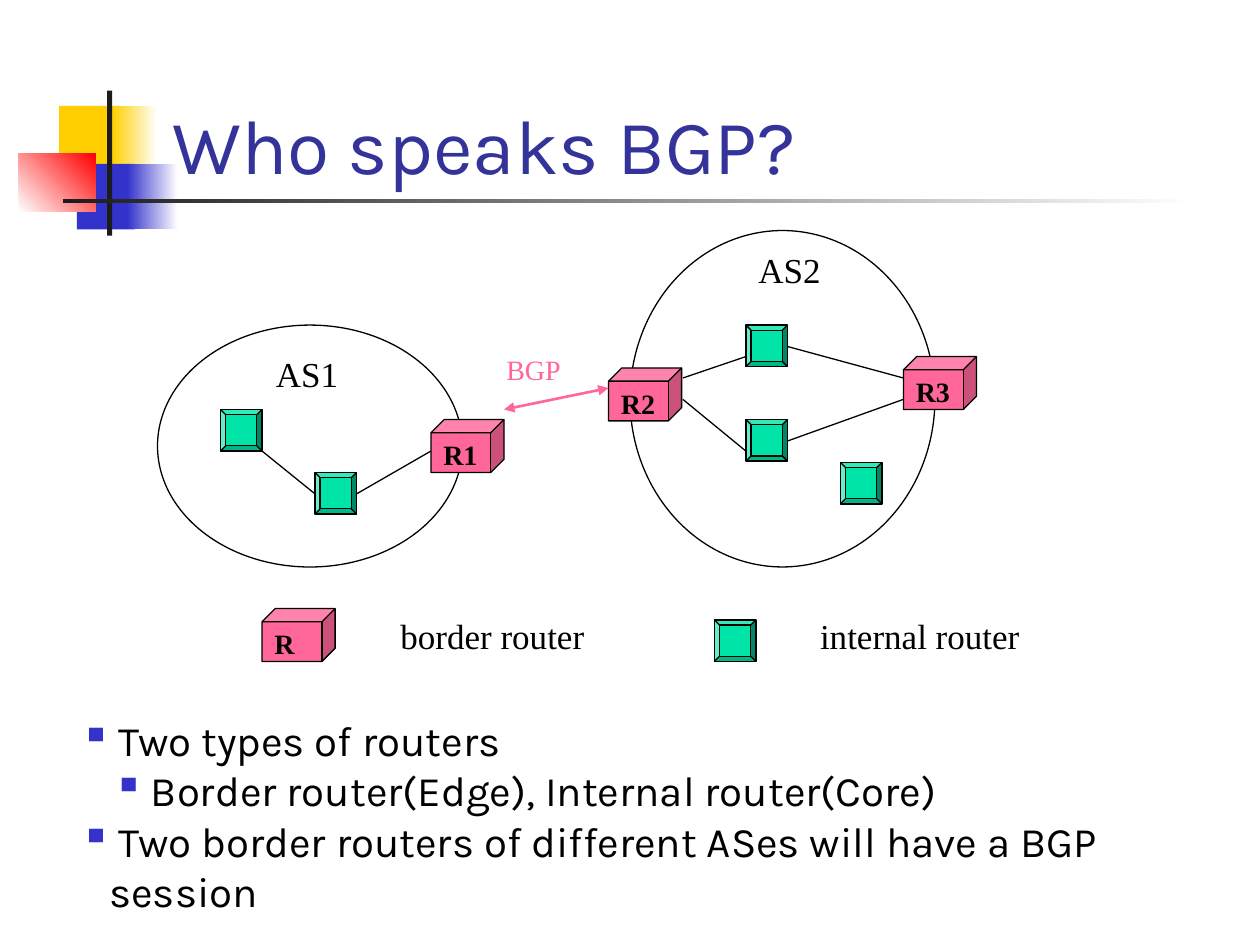
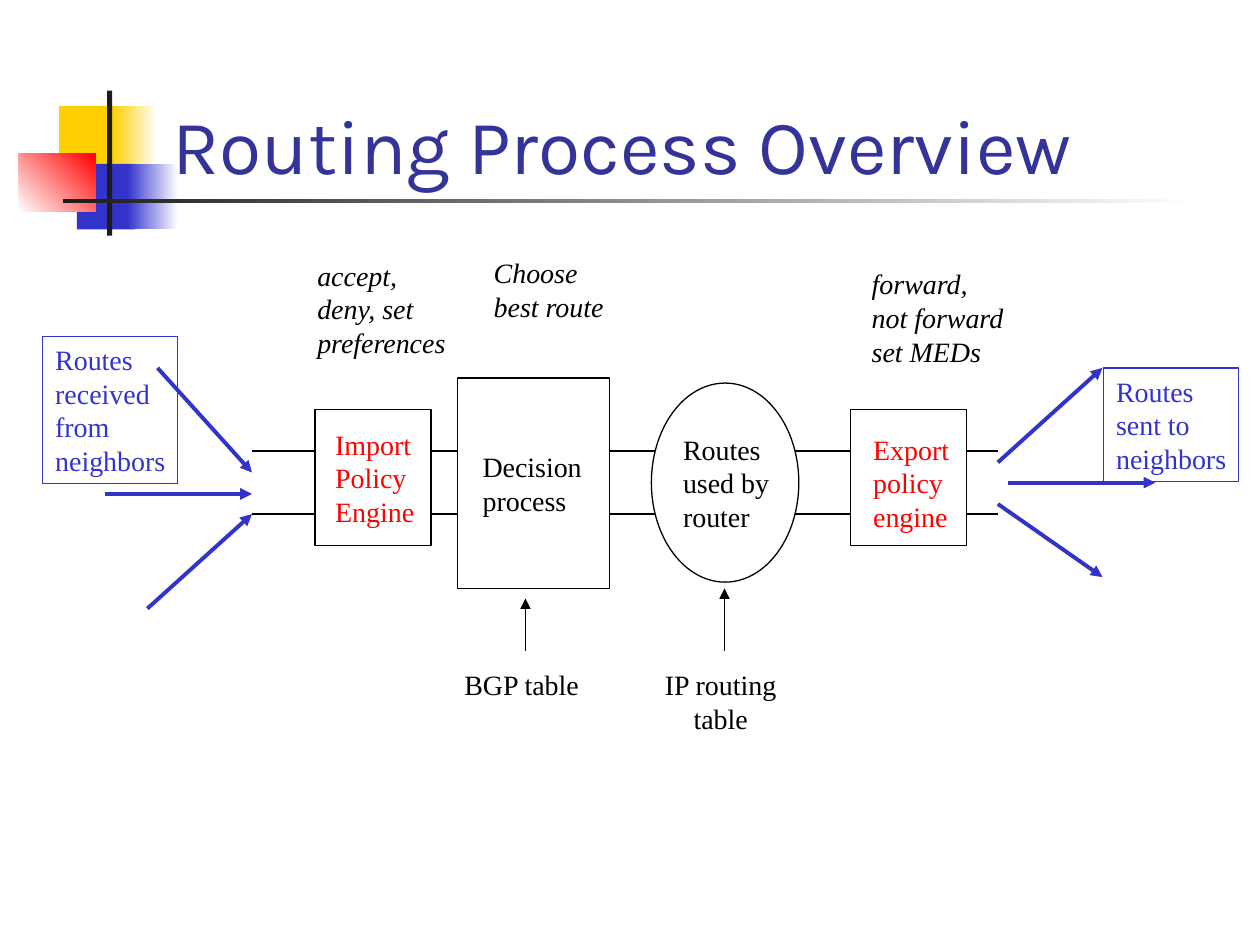
from pptx import Presentation
from pptx.dml.color import RGBColor
from pptx.enum.shapes import MSO_CONNECTOR, MSO_SHAPE
from pptx.enum.text import MSO_ANCHOR, PP_ALIGN
from pptx.oxml.ns import qn
from pptx.util import Inches, Pt
from lxml.etree import SubElement

COLORS = {
    "white": "FFFFFF", "black": "000000", "ink": "1C1C1C", "title": "333399",
    "yellow": "FFCF01", "blue": "3333CC", "red": "FF0000",
    "pink": "FF6699", "green": "00E4A8",
}
HEADING_FONT = "Karla"
DIAGRAM_FONT = "Times New Roman"
ROUTER_SIZE = 0.33


def rgb(name):
    return RGBColor.from_string(COLORS[name])


def add_box(page, kind, place, fill=None, line=None):
    box = page.shapes.add_shape(kind, *[Inches(value) for value in place])
    box.shadow.inherit = False
    if fill:
        box.fill.solid()
        box.fill.fore_color.rgb = rgb(fill)
    else:
        box.fill.background()
    if line:
        box.line.color.rgb = rgb(line)
        box.line.width = Pt(0.75)
    else:
        box.line.fill.background()
    return box


def add_gradient(page, place, start, end, angle=0):
    box = add_box(page, MSO_SHAPE.RECTANGLE, place)
    box.fill.gradient()
    box.fill.gradient_angle = angle
    for stop, color in zip(box.fill.gradient_stops, (start, end)):
        stop.color.rgb = rgb(color)


def write(box, lines, size=16, color="black", font=DIAGRAM_FONT, bold=False,
          italic=False, align=PP_ALIGN.LEFT, anchor=MSO_ANCHOR.TOP,
          left=0.1, top=0.05, bottom=0.05):
    frame = box.text_frame
    frame.word_wrap = True
    frame.vertical_anchor = anchor
    frame.margin_left, frame.margin_right = Inches(left), Inches(0)
    frame.margin_top, frame.margin_bottom = Inches(top), Inches(bottom)
    for index, text in enumerate(lines):
        para = frame.paragraphs[0] if index == 0 else frame.add_paragraph()
        para.alignment = align
        span = para.add_run()
        span.text = text
        span.font.name = font
        span.font.size = Pt(size)
        span.font.bold = bold
        span.font.italic = italic
        span.font.color.rgb = rgb(color)
    return frame


def add_label(page, place, lines, **style):
    box = page.shapes.add_textbox(*[Inches(value) for value in place])
    return write(box, lines, **style)


def add_line(page, start, end, color="black", width=0.75, arrows=()):
    line = page.shapes.add_connector(
        MSO_CONNECTOR.STRAIGHT, *[Inches(value) for value in (*start, *end)])
    line.line.color.rgb = rgb(color)
    line.line.width = Pt(width)
    outline = line.line._get_or_add_ln()
    for arrow in arrows:
        SubElement(outline, qn(f"a:{arrow}"), type="triangle")
    SubElement(line._element.spPr, qn("a:effectLst"))


def add_frame(page, title):
    rectangle = MSO_SHAPE.RECTANGLE
    add_box(page, rectangle, (0.47, 0.84, 0.48, 0.52), "yellow")
    add_gradient(page, (0.89, 0.84, 0.36, 0.52), "yellow", "white")
    add_box(page, rectangle, (0.61, 1.3, 0.46, 0.52), "blue")
    add_gradient(page, (1.01, 1.3, 0.4, 0.52), "blue", "white")
    add_gradient(page, (0.15, 1.22, 0.61, 0.46), "white", "red", 45)
    add_box(page, rectangle, (0.85, 0.72, 0.04, 1.15), "ink")
    add_gradient(page, (0.5, 1.58, 9, 0.03), "ink", "white")
    add_label(page, (1.27, 0.31, 8.52, 1.25), [title], size=44, color="title",
              font=HEADING_FONT, anchor=MSO_ANCHOR.BOTTOM)


def add_border_router(page, x, y, name):
    box = add_box(page, MSO_SHAPE.CUBE, (x, y, 0.58, 0.42), "pink", "black")
    write(box, [name], bold=True, anchor=MSO_ANCHOR.MIDDLE, top=0.03, bottom=0)


def add_internal_router(page, x, y):
    add_box(page, MSO_SHAPE.BEVEL, (x, y, ROUTER_SIZE, ROUTER_SIZE), "green", "black")


def add_system(page, place, name, name_at, borders, routers, links):
    x, y, width, height = place
    add_box(page, MSO_SHAPE.OVAL, place, line="black")
    add_label(page, (x + name_at[0], y + name_at[1], 0.69, 0.44), [name], size=20)
    for dx, dy, router in borders:
        add_border_router(page, x + dx, y + dy, router)
    for dx, dy in routers:
        add_internal_router(page, x + dx, y + dy)
    for x1, y1, x2, y2 in links:
        add_line(page, (x + x1, y + y1), (x + x2, y + y2))


def add_legend(page, x, y):
    add_border_router(page, x, y, "R")
    add_label(page, (x + 1, y, 1.66, 0.44), ["border router"], size=20)
    add_internal_router(page, x + 3.59, y + 0.09)
    add_label(page, (x + 4.33, y, 1.78, 0.44), ["internal router"], size=20)


def add_bullets(page, place, items):
    frame = add_label(page, place, [text for text, _, _ in items], size=24,
                      font=HEADING_FONT)
    for para, (_, margin, bulleted) in zip(frame.paragraphs, items):
        properties = para._p.get_or_add_pPr()
        properties.set("marL", str(Inches(margin)))
        if bulleted:
            properties.set("indent", str(Inches(-0.3)))
            color = SubElement(properties, qn("a:buClr"))
            SubElement(color, qn("a:srgbClr"), val=COLORS["blue"])
            SubElement(properties, qn("a:buChar"), char="▪")


def build_speakers(page):
    add_frame(page, "Who speaks BGP?")
    add_system(page, (1.25, 2.58, 2.42, 1.92), "AS1", (0.84, 0.17),
               [(2.17, 0.75, "R1")], [(0.5, 0.67), (1.25, 1.17)],
               [(1.58, 1.34, 2.17, 1), (1.25, 1.34, 0.83, 1)])
    add_system(page, (5, 1.83, 2.42, 2.67), "AS2", (0.92, 0.09),
               [(-0.17, 1.09, "R2"), (2.17, 1, "R3")],
               [(0.92, 0.75), (0.92, 1.5), (1.67, 1.84)],
               [(0.42, 1.17, 0.92, 1), (0.42, 1.34, 0.92, 1.75),
                (1.25, 0.92, 2.17, 1.17), (1.25, 1.67, 2.17, 1.34)])
    add_label(page, (3.92, 2.75, 0.63, 0.37), ["BGP"], color="pink")
    add_line(page, (4, 3.25), (4.83, 3.08), "pink", 1.5, ("headEnd", "tailEnd"))
    add_legend(page, 2.08, 4.83)
    add_bullets(page, (0.54, 5.62, 9, 1.7), [
        ("Two types of routers", 0.3, True),
        ("Border router(Edge), Internal router(Core)", 0.56, True),
        ("Two border routers of different ASes will have a BGP", 0.3, True),
        ("session", 0.23, False),
    ])


def add_stage(page, kind, place, lines, left, color="black", top=0.05):
    box = add_box(page, kind, place, "white", "black")
    write(box, lines, color=color, anchor=MSO_ANCHOR.MIDDLE, left=left, top=top)


def add_neighbors(page, place, lines, arrows):
    x, y = place[:2]
    for x1, y1, x2, y2 in arrows:
        add_line(page, (x + x1, y + y1), (x + x2, y + y2), "blue", 2.25, ("tailEnd",))
    box = add_box(page, MSO_SHAPE.RECTANGLE, place, line="blue")
    write(box, lines, color="blue")


def add_table_pointer(page, x, top, label_left, lines):
    add_line(page, (x, 5.17), (x, top), arrows=("tailEnd",))
    add_label(page, (label_left, 5.25, 1.1, 0.37 * len(lines)), lines,
              align=PP_ALIGN.CENTER, left=0)


def build_process(page):
    for y in (4.08, 3.58):
        add_line(page, (2, y), (7.92, y))
    add_frame(page, "Routing Process Overview")
    rectangle = MSO_SHAPE.RECTANGLE
    add_stage(page, rectangle, (2.5, 3.25, 0.92, 1.08),
              ["Import", "Policy", "Engine"], 0.16, "red")
    add_stage(page, rectangle, (3.63, 3, 1.21, 1.67), ["Decision", "process"], 0.2)
    add_stage(page, MSO_SHAPE.OVAL, (5.17, 3.04, 1.17, 1.58),
              ["Routes", "used by", "router"], 0.08)
    add_stage(page, rectangle, (6.75, 3.25, 0.92, 1.08),
              ["Export", "policy", "engine"], 0.18, "red", 0.13)
    add_neighbors(page, (0.34, 2.67, 1.07, 1.17),
                  ["Routes", "received", "from", "neighbors"],
                  [(0.91, 0.25, 1.66, 1.08), (0.49, 1.25, 1.66, 1.25),
                   (0.83, 2.16, 1.66, 1.41)])
    add_neighbors(page, (8.76, 2.92, 1.07, 0.9), ["Routes", "sent to", "neighbors"],
                  [(-0.84, 0.75, -0.01, 0), (-0.84, 1.08, -0.01, 1.66),
                   (-0.76, 0.91, 0.41, 0.91)])
    add_table_pointer(page, 4.17, 4.75, 3.59, ["BGP table"])
    add_table_pointer(page, 5.75, 4.67, 5.17, ["IP routing", "table"])
    notes = [
        ((3.82, 1.98, 1.08, 0.64), ["Choose", "best route"]),
        ((2.42, 2, 1.23, 0.9), ["accept,", "deny, set", "preferences"]),
        ((6.82, 2.07, 1.25, 0.9), ["forward,", "not forward", "set MEDs"]),
    ]
    for place, lines in notes:
        add_label(page, place, lines, italic=True)


def main():
    deck = Presentation()
    deck.slide_width, deck.slide_height = Inches(10), Inches(7.5)
    for build in (build_speakers, build_process):
        build(deck.slides.add_slide(deck.slide_layouts[6]))
    deck.save("out.pptx")


if __name__ == "__main__":
    main()
